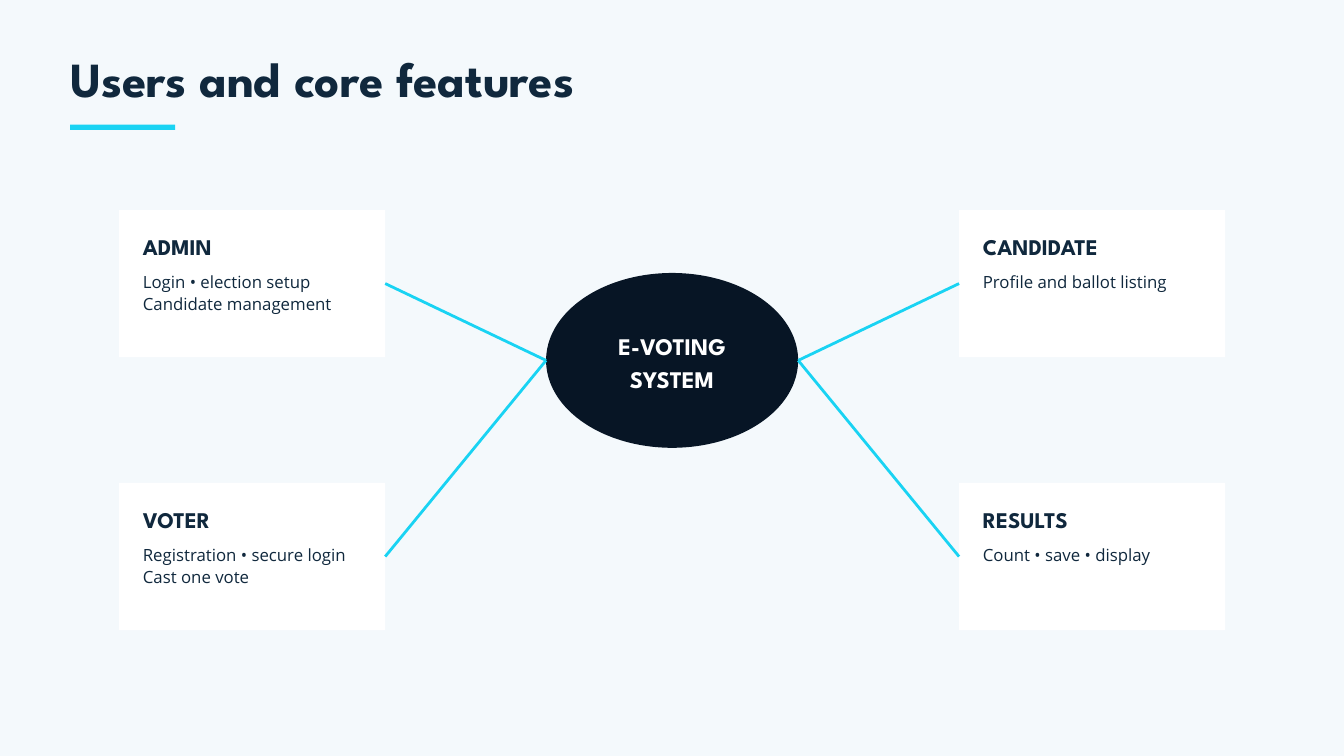
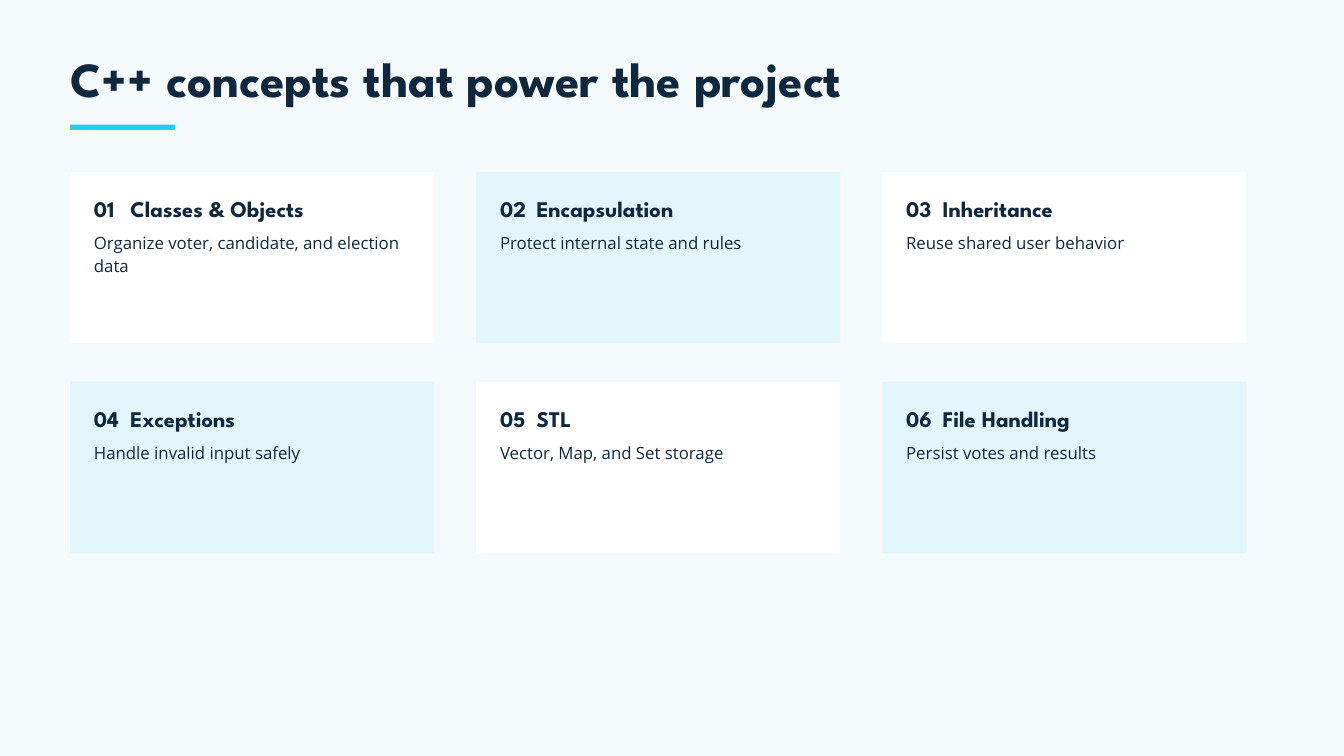
"""Builds two slides on an e-voting system: its users and its C++ concepts."""
import pptx
import pptx.dml.color
import pptx.enum.shapes
import pptx.enum.text
import pptx.oxml.ns
import pptx.util
from lxml import etree

Cm = pptx.util.Cm
Pt = pptx.util.Pt
RGBColor = pptx.dml.color.RGBColor
Shape = pptx.enum.shapes.MSO_SHAPE
Anchor = pptx.enum.text.MSO_ANCHOR
Align = pptx.enum.text.PP_ALIGN
qn = pptx.oxml.ns.qn

PAPER = RGBColor(0xF4, 0xF9, 0xFC)
WHITE = RGBColor(0xFF, 0xFF, 0xFF)
ICE = RGBColor(0xE1, 0xF5, 0xFA)
CYAN = RGBColor(0x19, 0xD3, 0xF3)
NAVY = RGBColor(0x10, 0x28, 0x3D)
NIGHT = RGBColor(0x07, 0x15, 0x25)

HEAD = "League Spartan"
BODY = "Open Sans"
LEFT = 2.65
PAD = 0.9


class Deck:
    def __init__(self):
        self.show = pptx.Presentation()
        self.show.slide_width = Cm(50.8)
        self.show.slide_height = Cm(28.58)
        back = self.show.slide_master.background.fill
        back.solid()
        back.fore_color.rgb = PAPER
        self.slide = None

    def letter(self, frame, text, size, lead, face=HEAD, color=NAVY,
               align=Align.LEFT, anchor=Anchor.TOP, inset=0, tab=None):
        frame.text = text
        frame.word_wrap = True
        frame.auto_size = pptx.enum.text.MSO_AUTO_SIZE.NONE
        frame.vertical_anchor = anchor
        frame.margin_left = frame.margin_right = Cm(inset)
        frame.margin_top = frame.margin_bottom = Cm(inset)
        for para in frame.paragraphs:
            if tab:
                stops = etree.SubElement(para._p.get_or_add_pPr(), qn("a:tabLst"))
                etree.SubElement(stops, qn("a:tab"), pos=str(Cm(tab)), algn="l")
            para.alignment = align
            para.line_spacing = Pt(lead)
            for run in para.runs:
                run.font.name = face
                run.font.size = Pt(size)
                run.font.bold = face == HEAD
                run.font.color.rgb = color

    def start(self, text):
        self.slide = self.show.slides.add_slide(self.show.slide_layouts[5])
        title = self.slide.shapes.title
        title.left, title.top = Cm(LEFT), Cm(2.1)
        title.width, title.height = Cm(39.69), Cm(2.02)
        self.letter(title.text_frame, text, 52.5, 55.1)
        self.block(LEFT, 4.71, 3.97, 0.2, CYAN)

    def block(self, x, y, wide, high, color, kind=Shape.RECTANGLE):
        shape = self.slide.shapes.add_shape(kind, Cm(x), Cm(y), Cm(wide), Cm(high))
        shape.shadow.inherit = False
        shape.fill.solid()
        shape.fill.fore_color.rgb = color
        shape.line.fill.background()
        return shape

    def label(self, x, y, wide, high, text, size, lead, **style):
        box = self.slide.shapes.add_textbox(Cm(x), Cm(y), Cm(wide), Cm(high))
        self.letter(box.text_frame, text, size, lead, **style)

    def card(self, x, y, wide, high, color, head, body, tab=None):
        self.block(x, y, wide, high, color)
        inner = wide - 2 * PAD
        self.label(x + PAD, y + 0.7, inner, 1.09, head, 24, 33.6, tab=tab)
        self.label(x + PAD, y + 2.22, inner, 1.63, body, 18, 24.3, face=BODY)

    def link(self, x1, y1, x2, y2):
        line = self.slide.shapes.add_connector(
            pptx.enum.shapes.MSO_CONNECTOR.STRAIGHT, Cm(x1), Cm(y1), Cm(x2), Cm(y2))
        line.line.color.rgb = CYAN
        line.line.width = Pt(3)
        etree.SubElement(line._element.spPr, qn("a:effectLst"))


def users(deck):
    deck.start("Users and core features")
    hub_x, hub_y, hub_wide, hub_high = 20.64, 10.32, 9.53, 6.61
    hub = deck.block(hub_x, hub_y, hub_wide, hub_high, NIGHT, Shape.OVAL)
    deck.letter(hub.text_frame, "E-VOTING\nSYSTEM", 25.5, 35.7, color=WHITE,
                align=Align.CENTER, anchor=Anchor.MIDDLE, inset=0.15)
    wide, high = 10.06, 5.56
    west, east = 4.5, 36.25
    top, low = 7.94, 18.26
    roles = [
        (west, top, "ADMIN", "Login • election setup\nCandidate management"),
        (west, low, "VOTER", "Registration • secure login\nCast one vote"),
        (east, top, "CANDIDATE", "Profile and ballot listing"),
        (east, low, "RESULTS", "Count • save • display"),
    ]
    for x, y, head, body in roles:
        deck.card(x, y, wide, high, WHITE, head, body)
        edge, end = (x + wide, hub_x) if x == west else (x, hub_x + hub_wide)
        deck.link(edge, y + high / 2, end, hub_y + hub_high / 2)


def ideas(deck):
    deck.start("C++ concepts that power the project")
    items = [
        ("Classes & Objects", "Organize voter, candidate, and election data"),
        ("Encapsulation", "Protect internal state and rules"),
        ("Inheritance", "Reuse shared user behavior"),
        ("Exceptions", "Handle invalid input safely"),
        ("STL", "Vector, Map, and Set storage"),
        ("File Handling", "Persist votes and results"),
    ]
    for i, (head, body) in enumerate(items):
        row, col = divmod(i, 3)
        deck.card(LEFT + col * 15.35, 6.5 + row * 7.94, 13.76, 6.48,
                  ICE if i % 2 else WHITE, f"{i + 1:02}\t{head}", body, tab=1.38)


def main():
    deck = Deck()
    users(deck)
    ideas(deck)
    deck.show.save("out.pptx")


if __name__ == "__main__":
    main()
